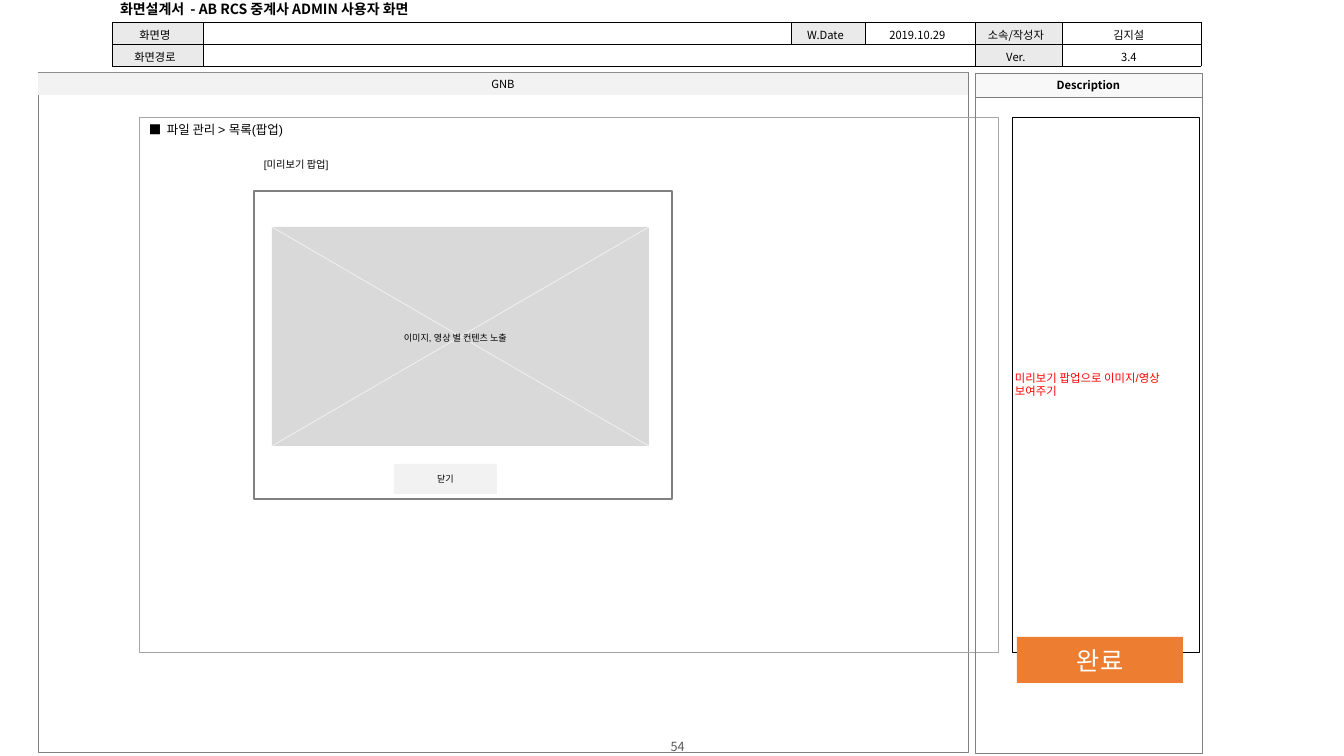
from lxml import etree
from pptx import Presentation
from pptx import util as u
from pptx.dml import color
from pptx.enum import shapes as sh, text as t
from pptx.oxml import ns

SCALE = 914400 / 100.8
NOTO = "Noto Sans CJK KR"
ARIAL = "Arial"


def px(n):
    return u.Emu(round(n * SCALE))


def rgb(code):
    return color.RGBColor.from_string(code)


def place(box, x, y, w, h):
    return box[0] + x, box[1] + y, w, h


def paint(fill, code):
    if code:
        fill.solid()
        fill.fore_color.rgb = rgb(code)
    else:
        fill.background()


def write(frame, words, size, font=NOTO, ink="000000", bold=False, mid=True):
    para = frame.paragraphs[0]
    para.text = words
    para.alignment = t.PP_ALIGN.CENTER if mid else t.PP_ALIGN.LEFT
    face = para.font
    face.size = u.Pt(size)
    face.bold = bold
    face.color.rgb = rgb(ink)
    face.name = font
    latin = para._p.pPr.find(".//" + ns.qn("a:latin"))
    asian = etree.Element(ns.qn("a:ea"), typeface=NOTO)
    latin.addnext(asian)


def inset(frame, left, top, right, bottom):
    frame.margin_left, frame.margin_top = px(left), px(top)
    frame.margin_right, frame.margin_bottom = px(right), px(bottom)


def rect(slide, box, fill=None, line=None, width=0.25, kind=sh.MSO_SHAPE.RECTANGLE):
    item = slide.shapes.add_shape(kind, *map(px, box))
    item.shadow.inherit = False
    paint(item.fill, fill)
    paint(item.line.fill, line)
    if line:
        item.line.width = u.Pt(width)
    item.text_frame.word_wrap = True
    item.text_frame.vertical_anchor = t.MSO_ANCHOR.MIDDLE
    return item


def label(slide, box, words, size, font=ARIAL, wrap=False, **style):
    frame = slide.shapes.add_textbox(*map(px, box)).text_frame
    frame.word_wrap = wrap
    frame.auto_size = t.MSO_AUTO_SIZE.SHAPE_TO_FIT_TEXT
    write(frame, words, size, font, mid=False, **style)
    return frame


def stroke(slide, x1, y1, x2, y2):
    line = slide.shapes.add_connector(sh.MSO_CONNECTOR.STRAIGHT, *map(px, (x1, y1, x2, y2)))
    line.line.color.rgb = rgb("F2F2F2")
    line.line.width = u.Pt(0.5)
    etree.SubElement(line._element.spPr, ns.qn("a:effectLst"))


def border(cell):
    props = cell._tc.get_or_add_tcPr()
    for spot, side in enumerate(("lnL", "lnR", "lnT", "lnB")):
        edge = etree.Element(ns.qn("a:" + side), w="3175")
        fill = etree.SubElement(edge, ns.qn("a:solidFill"))
        etree.SubElement(fill, ns.qn("a:srgbClr"), val="000000")
        props.insert(spot, edge)


def header(slide, box):
    cols = (91, 588, 74, 110, 87, 139)
    rows = (
        ("화면명", "", "W.Date", "2019.10.29", "소속/작성자", "김지설"),
        ("화면경로", "", "", "", "Ver.", "3.4"),
    )
    keys = ("화면명", "화면경로", "W.Date", "소속/작성자", "Ver.")
    grid = slide.shapes.add_table(len(rows), len(cols), *map(px, box)).table
    for col, width in zip(grid.columns, cols):
        col.width = px(width)
    for r, row in enumerate(rows):
        grid.rows[r].height = px(box[3] / len(rows))
        for c, words in enumerate(row):
            cell = grid.cell(r, c)
            paint(cell.fill, "EAEAEA" if words in keys else "FFFFFF")
            border(cell)
            inset(cell, 4, 4, 9, 4)
            cell.vertical_anchor = t.MSO_ANCHOR.MIDDLE
            write(cell.text_frame, words, 8)
    grid.cell(1, 1).merge(grid.cell(1, 3))
    title = label(slide, place(box, -1, -26, 350, 26),
                  "화면설계서  - AB RCS 중계사 ADMIN 사용자 화면", 10, NOTO, True, bold=True)
    inset(title, 9, 4, 9, 4)
    title.vertical_anchor = t.MSO_ANCHOR.MIDDLE


def canvas(slide, box):
    rect(slide, box, line="808080")
    bar = rect(slide, place(box, 0, 1, box[2], 22), "F2F2F2")
    write(bar.text_frame, "GNB", 8)
    area = place(box, 101, 45, 859, 535)
    rect(slide, area, line="A6A6A6")
    label(slide, place(area, 0, 0, 292, 25), "■  파일 관리 > 목록(팝업)", 8.9, wrap=True)


def popup(slide, box):
    label(slide, place(box, 0, -38, 92, 22), "[미리보기 팝업]", 7.3)
    rect(slide, box, line="808080", width=1)
    close = rect(slide, place(box, 140, 273, 103, 30), "F2F2F2",
                 kind=sh.MSO_SHAPE.ROUNDED_RECTANGLE)
    close.adjustments[0] = 0.03
    write(close.text_frame, "닫기", 6.5, ARIAL)
    view = x, y, w, h = place(box, 18, 36, 377, 219)
    rect(slide, view, "D9D9D9")
    stroke(slide, x, y + h, x + w, y)
    stroke(slide, x, y, x + w, y + h)
    label(slide, place(view, 122, 100, 136, 21), "이미지, 영상 별 컨텐츠 노출", 6.5)


def notes(slide, box):
    rect(slide, place(box, 0, 24, box[2], box[3] - 24), line="808080")
    head = rect(slide, place(box, 0, 0, box[2], 24), "F8F8F8", "808080")
    head.text_frame.word_wrap = False
    write(head.text_frame, "Description", 8, bold=True)
    note = rect(slide, place(box, 37, 44, 187, 535), line="000000")
    inset(note.text_frame, 3, 3, 3, 3)
    write(note.text_frame, "미리보기 팝업으로 이미지/영상 보여주기", 8.1, ARIAL, "FF0000", mid=False)
    done = rect(slide, place(box, 42, 564, 166, 46), "ED7D31")
    write(done.text_frame, "완료", 18, ink="FFFFFF")


def footer(slide, box):
    frame = slide.shapes.add_textbox(*map(px, box)).text_frame
    frame.word_wrap = True
    frame.vertical_anchor = t.MSO_ANCHOR.MIDDLE
    write(frame, "54", 9, ink="595959")


def main():
    deck = Presentation()
    deck.slide_width, deck.slide_height = px(1344), px(756)
    slide = deck.slides.add_slide(deck.slide_layouts[6])
    footer(slide, (521, 740, 313, 13))
    header(slide, (112, 22, 1089, 44))
    canvas(slide, (38, 72, 930, 680))
    popup(slide, (254, 191, 418, 308))
    notes(slide, (975, 73, 227, 680))
    deck.save("out.pptx")


if __name__ == "__main__":
    main()
